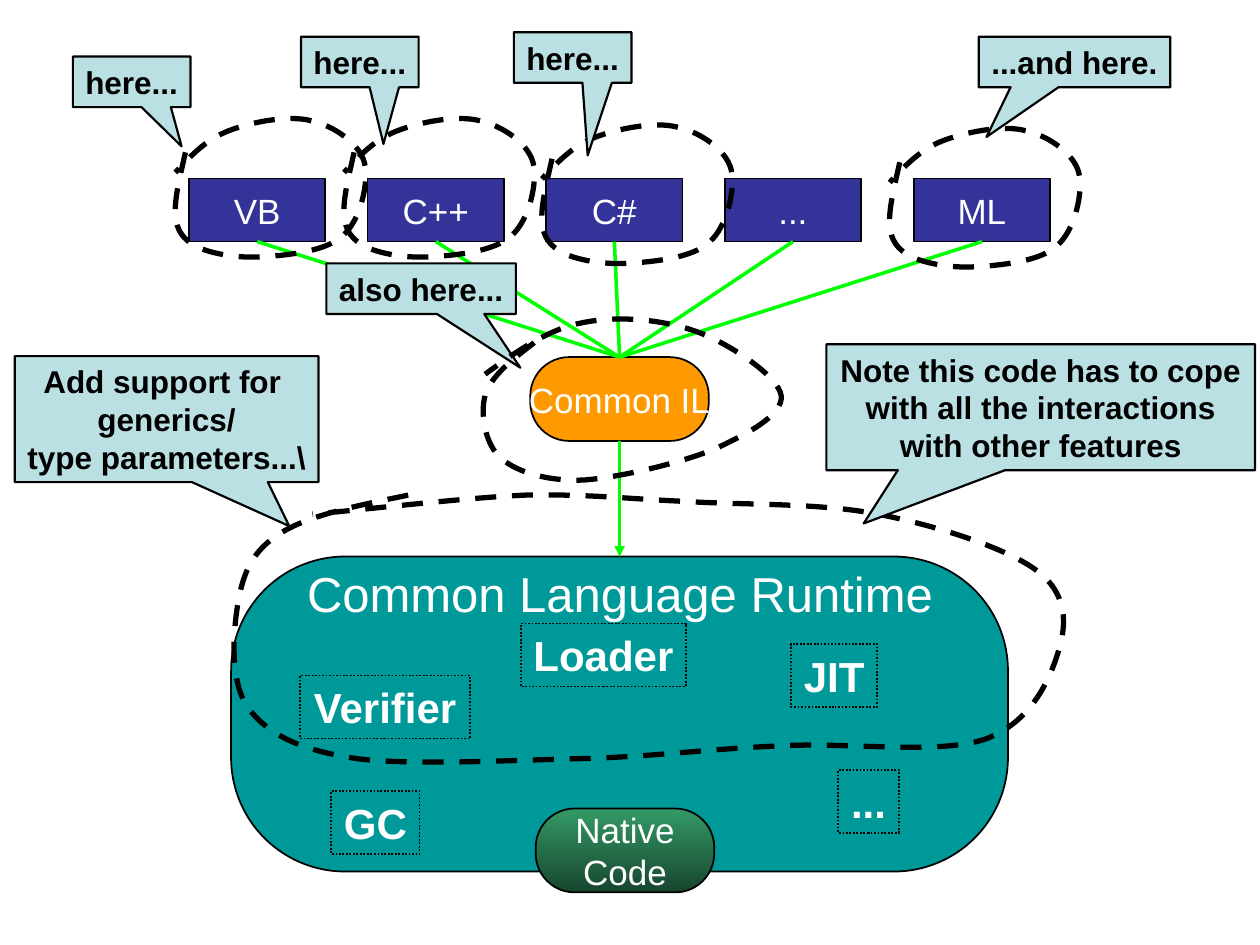
from dataclasses import dataclass

from lxml import etree
from pptx import Presentation
from pptx import util as u
from pptx.dml.color import RGBColor
from pptx.enum import dml, shapes, text
from pptx.oxml.ns import qn


@dataclass(frozen=True)
class Theme:
    font: str = "Arial"
    ink: str = "000000"
    light: str = "FFFFFF"
    language: str = "333399"
    common: str = "FF9900"
    runtime: str = "009999"
    native: tuple = ("339966", "17462F")
    flow: str = "00FF00"
    note: str = "BBE0E3"
    heading_size: int = 28
    label_size: int = 24
    node_size: int = 20
    note_size: int = 18


THEME = Theme()
TOP, BOTTOM = 0, 2  # connection sites


def write(shape, words, size, color=THEME.light, bold=False, wrap=False, fit=False, before=0):
    """Put centred text in a shape; a vertical tab breaks the line."""
    frame = shape.text_frame
    frame.word_wrap = wrap
    frame.auto_size = text.MSO_AUTO_SIZE.SHAPE_TO_FIT_TEXT if fit else text.MSO_AUTO_SIZE.NONE
    frame.vertical_anchor = text.MSO_ANCHOR.MIDDLE
    paragraph = frame.paragraphs[0]
    paragraph.text = words
    paragraph.alignment = text.PP_ALIGN.CENTER
    if before:
        paragraph.space_before = u.Pt(before)
    for run in paragraph.runs:
        run.font.name, run.font.size, run.font.bold = THEME.font, u.Pt(size), bold
        run.font.color.rgb = RGBColor.from_string(color)


class Diagram:
    def __init__(self, slide, theme):
        self.slide, self.theme = slide, theme

    def finish(self, shape, fill=None, width=1.0, dash=None):
        """Set fill and outline, without a shadow."""
        shape.shadow.inherit = False
        if fill is None:
            shape.fill.background()
        elif isinstance(fill, tuple):
            shape.fill.gradient()
            shape.fill.gradient_angle = 270
            for stop, color in zip(shape.fill.gradient_stops, fill):
                stop.color.rgb = RGBColor.from_string(color)
        else:
            shape.fill.solid()
            shape.fill.fore_color.rgb = RGBColor.from_string(fill)
        shape.line.color.rgb = RGBColor.from_string(self.theme.ink)
        shape.line.width = u.Pt(width)
        if dash:
            shape.line.dash_style = dash

    def add(self, preset, box, adjustments=(), **look):
        shape = self.slide.shapes.add_shape(preset, *map(u.Cm, box))
        for index, value in enumerate(adjustments):
            shape.adjustments[index] = value
        self.finish(shape, **look)
        return shape

    def node(self, words, box, rounding, fill):
        shape = self.add(shapes.MSO_SHAPE.ROUNDED_RECTANGLE, box, [rounding], fill=fill)
        if words:
            write(shape, words, self.theme.node_size)
        return shape

    def heading(self, words, box):
        write(self.slide.shapes.add_textbox(*map(u.Cm, box)), words,
              self.theme.heading_size, fit=True)

    def label(self, words, box):
        shape = self.add(shapes.MSO_SHAPE.RECTANGLE, box, dash=dml.MSO_LINE.ROUND_DOT)
        write(shape, words, self.theme.label_size, bold=True, fit=True)

    def callout(self, words, box, tip, wrap=False):
        shape = self.add(shapes.MSO_SHAPE.RECTANGULAR_CALLOUT, box, tip,
                         fill=self.theme.note, width=1.25)
        write(shape, words, self.theme.note_size, color=self.theme.ink, bold=True,
              wrap=wrap, fit=True, before=11.2)

    def flow(self, source, target, arrow=False):
        line = self.slide.shapes.add_connector(shapes.MSO_CONNECTOR.STRAIGHT, 0, 0, 0, 0)
        line.begin_connect(source, BOTTOM)
        line.end_connect(target, TOP)
        line.line.color.rgb = RGBColor.from_string(self.theme.flow)
        line.line.width = u.Pt(2)
        if arrow:
            etree.SubElement(line.line._get_or_add_ln(), qn("a:tailEnd"), type="triangle")
        etree.SubElement(line._element.spPr, qn("a:effectLst"))

    def loop(self, points, left=0, top=0):
        """Dashed Bézier curve: a start, then three points per segment."""
        builder = self.slide.shapes.build_freeform(*points[0], scale=u.Cm(0.0254))
        builder.add_line_segments(points[1:], close=False)
        shape = builder.convert_to_shape(u.Cm(left), u.Cm(top))
        outline = shape._element.xpath(".//a:path")[0]
        steps = outline.findall(qn("a:lnTo"))
        for first in range(0, len(steps), 3):
            curve = etree.SubElement(outline, qn("a:cubicBezTo"))
            for step in steps[first:first + 3]:
                curve.append(step[0])
                outline.remove(step)
        self.finish(shape, width=3, dash=dml.MSO_LINE.DASH)


# Curve points, in hundredths of an inch
LANGUAGE_LOOP = [
    (9, 30), (5, 48), (0, 67), (1, 80), (2, 92), (7, 99), (18, 105),
    (29, 110), (48, 114), (68, 113), (87, 112), (121, 109), (134, 96),
    (148, 84), (155, 53), (151, 38), (147, 23), (127, 9), (109, 5),
    (91, 0), (61, 6), (43, 13), (25, 20), (13, 33), (1, 46)]
RUNTIME_LOOP = [
    (324, 393), (285, 401), (245, 409), (223, 423), (200, 437), (193, 455), (189, 478),
    (185, 501), (182, 541), (197, 562), (213, 583), (237, 595), (282, 602),
    (327, 608), (412, 603), (468, 602), (524, 600), (568, 594), (620, 592),
    (672, 589), (744, 599), (781, 587), (818, 574), (833, 540), (840, 517),
    (847, 495), (847, 471), (823, 453), (799, 435), (743, 417), (696, 408),
    (650, 399), (591, 401), (544, 398), (498, 396), (467, 392), (417, 393),
    (368, 395), (276, 406), (248, 408)]
COMMON_LOOP = [
    (424, 272), (407, 285), (389, 299), (385, 314), (381, 329), (385, 353), (398, 364),
    (411, 375), (435, 382), (463, 381), (492, 379), (542, 367), (568, 356),
    (594, 344), (622, 329), (620, 314), (618, 299), (581, 274), (555, 264),
    (529, 254), (492, 250), (463, 256), (435, 261), (410, 279), (385, 297)]

LANGUAGES = {"VB": 3.81, "C++": 7.41, "C#": 11.01, "...": 14.61, "ML": 18.42}
LABELS = [("GC", 6.68, 15.95, 1.78), ("JIT", 15.95, 12.98, 1.73),
          ("Loader", 10.5, 12.57, 3.33), ("Verifier", 6.05, 13.62, 3.43),
          ("...", 16.9, 15.52, 1.22)]
CALLOUTS = [
    ("Add support for \vgenerics/\vtype parameters...\\", (0.3, 7.18, 6.12, 2.54), (0.404, 0.849)),
    ("also here...", (6.58, 5.31, 3.82, 1.02), (0.524, 1.563)),
    ("here...", (1.47, 1.14, 2.37, 1.02), (0.425, 1.277)),
    ("here...", (6.07, 0.74, 2.37, 1.02), (0.201, 1.621)),
    ("here...", (10.36, 0.65, 2.37, 1.02), (0.128, 1.935)),
    ("...and here.", (19.73, 0.74, 3.86, 1.02), (-0.459, 1.482))]


def main():
    deck = Presentation()
    deck.slide_width, deck.slide_height = u.Cm(25.4), u.Cm(19.05)
    diagram = Diagram(deck.slides.add_slide(deck.slide_layouts[6]), THEME)

    # Runtime, languages and the common language between them
    runtime = diagram.node("", (4.66, 11.22, 15.66, 6.35), 0.362, THEME.runtime)
    languages = [diagram.node(name, (left, 3.6, 2.75, 1.27), 0, THEME.language)
                 for name, left in LANGUAGES.items()]
    common = diagram.node("Common IL", (10.69, 7.2, 3.6, 1.69), 0.465, THEME.common)
    for language in languages:
        diagram.flow(language, common)
    diagram.flow(common, runtime, arrow=True)
    diagram.node("Native\vCode", (10.8, 16.3, 3.6, 1.69), 0.465, THEME.native)
    diagram.heading("Common Language Runtime", (5.94, 11.22, 13.11, 1.45))

    # Loops that lie under the callouts
    diagram.loop(LANGUAGE_LOOP, 10.9, 2.44)
    diagram.loop(RUNTIME_LOOP)

    # Callouts
    for words, box, tip in CALLOUTS:
        diagram.callout(words, box, tip)
    diagram.callout("Note this code has to cope with all the interactions with other features",
                    (16.66, 6.94, 8.64, 2.54), (-0.413, 0.923), wrap=True)

    # Runtime parts, and loops that lie over the callouts
    diagram.loop(COMMON_LOOP)
    for name, left, top, width in LABELS:
        diagram.label(name, (left, top, width, 1.27))
    for left, top in [(3.51, 2.31), (6.91, 2.31), (17.91, 2.51)]:
        diagram.loop(LANGUAGE_LOOP, left, top)

    deck.save("out.pptx")


if __name__ == "__main__":
    main()
